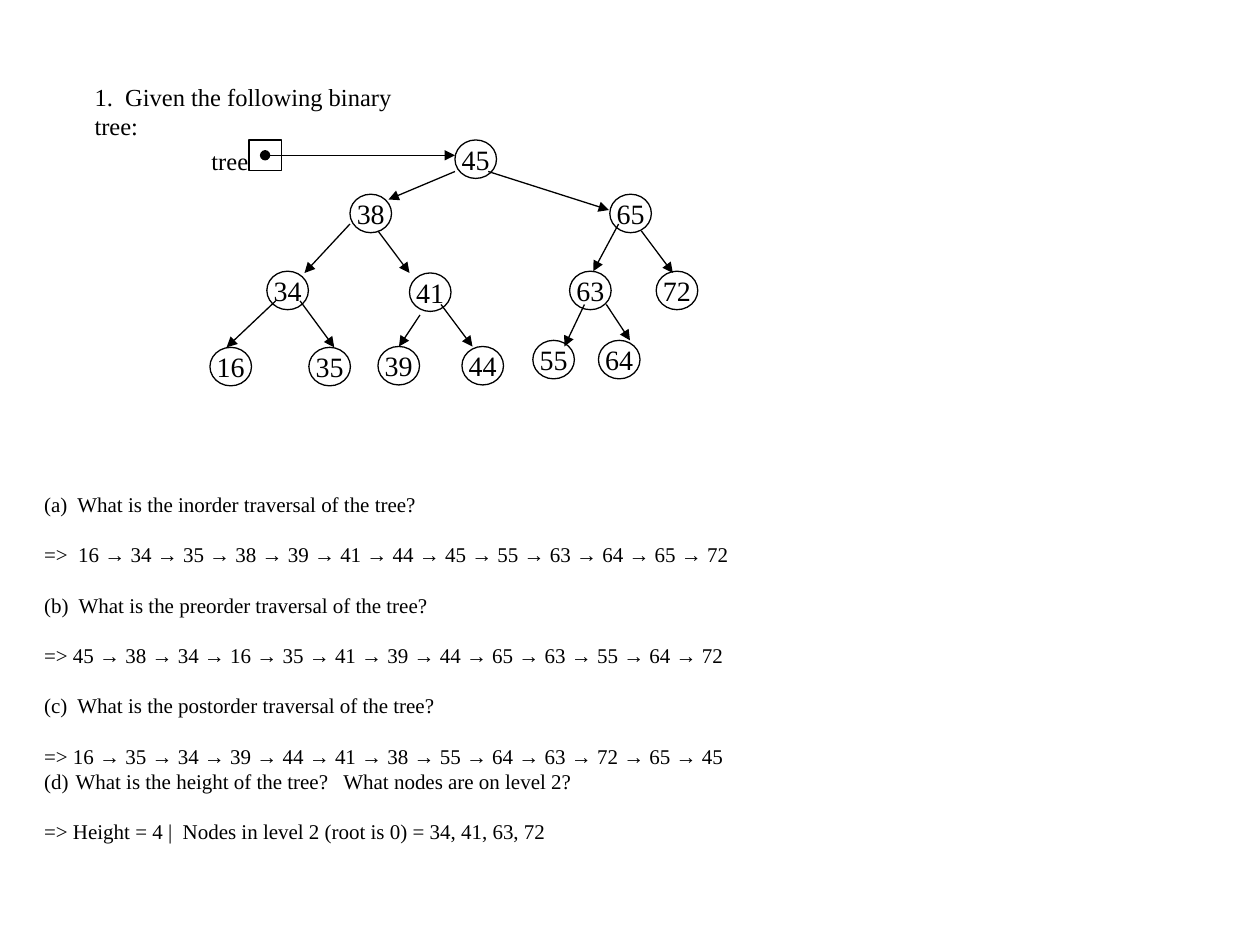
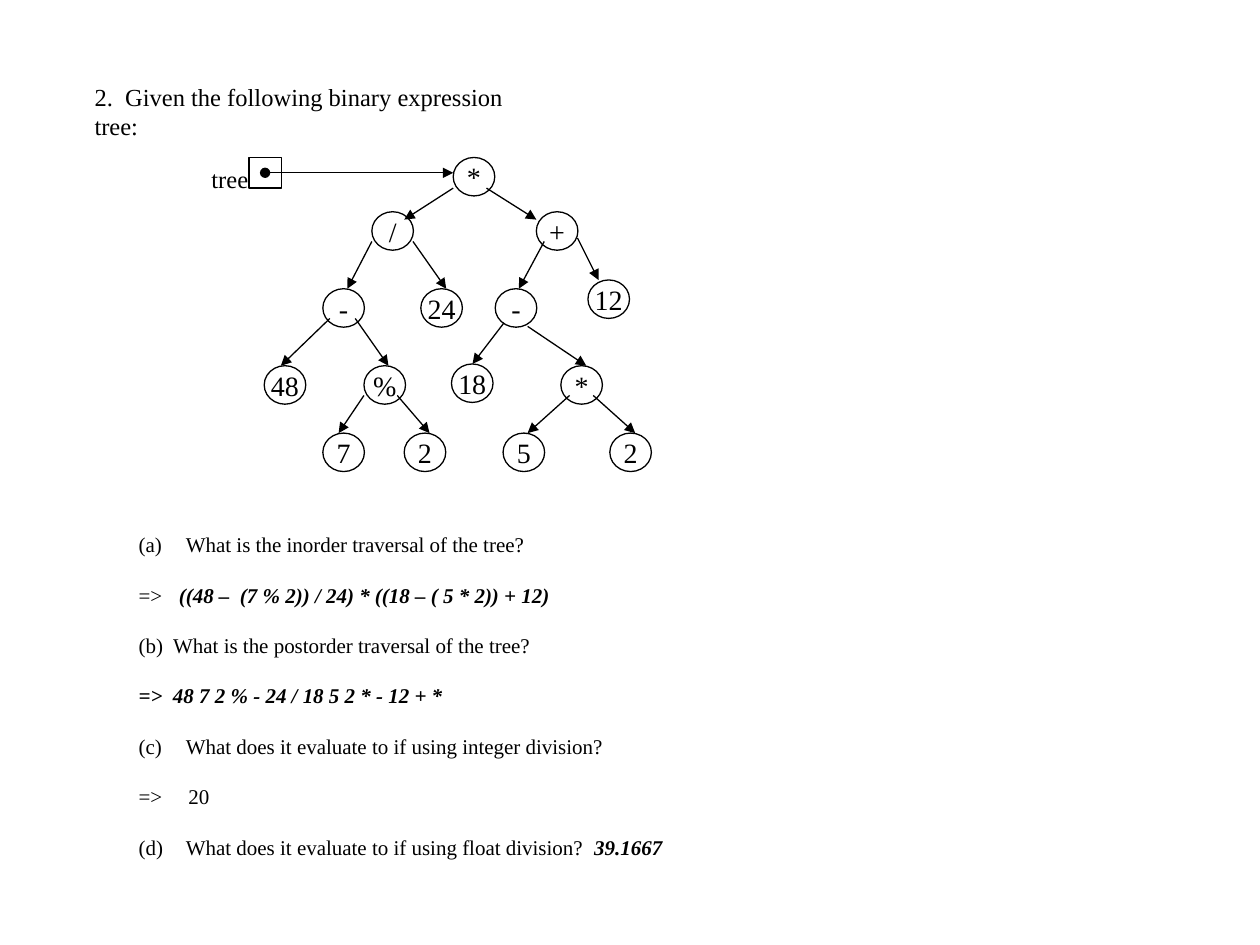
"""Build two exercise slides on binary tree traversal."""
from lxml import etree
from pptx import Presentation
from pptx.dml.color import RGBColor
from pptx.enum.shapes import MSO_CONNECTOR, MSO_SHAPE
from pptx.enum.text import MSO_ANCHOR, MSO_AUTO_SIZE, PP_ALIGN
from pptx.oxml.ns import qn
from pptx.util import Pt

STRAIGHT = MSO_CONNECTOR.STRAIGHT
OVAL, RECTANGLE = MSO_SHAPE.OVAL, MSO_SHAPE.RECTANGLE
TOP, MIDDLE = MSO_ANCHOR.TOP, MSO_ANCHOR.MIDDLE
NO_FIT = MSO_AUTO_SIZE.NONE
LEFT, CENTER = PP_ALIGN.LEFT, PP_ALIGN.CENTER

INK = RGBColor(0x00, 0x00, 0x00)
FONT = "Times New Roman"
HEADING_SIZE, BODY_SIZE, NODE_SIZE = 14, 12, 16
LINE_WIDTH = 0.75
NODE_WIDTH, NODE_HEIGHT = 23.75, 22
PARA_GAP = 14.4

SEARCH_NODES = [
    ("45", 260, 80), ("38", 200, 111), ("65", 348.5, 111),
    ("34", 152.5, 155), ("41", 234, 156), ("63", 325.5, 155), ("72", 375, 155),
    ("16", 120, 198.5), ("35", 176.5, 198.5), ("39", 216, 198), ("44", 264, 198),
    ("55", 304.5, 194.5), ("64", 342, 194.5),
]
SEARCH_ARROWS = [
    (260, 98, 222, 114), (279, 98, 348, 120),
    (200, 128, 174, 156), (216, 132, 234, 156),
    (353.5, 128, 339, 155), (366.5, 132, 384.5, 156),
    (157.5, 172, 129.5, 198.5), (171.5, 172, 191, 198.5),
    (240, 180, 228, 198), (252, 174, 270, 198),
    (334, 174, 322.5, 198), (346.5, 174, 360, 194.5),
]
EXPRESSION_NODES = [
    ("*", 259, 90), ("/", 212.5, 121), ("+", 306.5, 121),
    ("-", 184.5, 165), ("24", 240.5, 165), ("-", 283, 165), ("12", 336, 160),
    ("48", 151, 209), ("%", 208, 209), ("18", 258, 208), ("*", 320.5, 209),
    ("7", 184.5, 247.5), ("2", 231, 247.5), ("5", 287.5, 247.5), ("2", 348.5, 247.5),
]
EXPRESSION_ARROWS = [
    (259, 107.5, 231, 125.5), (278, 107.5, 306.5, 125.5),
    (212.5, 138, 198.5, 165), (236, 138, 255, 165),
    (311, 138, 296.5, 165), (330, 136, 342, 160),
    (188.5, 182, 160.5, 209), (203, 182, 222, 209),
    (288, 184.5, 270, 208), (301.5, 186.5, 335, 209),
    (208, 226, 193.5, 247.5), (227, 226, 245.5, 247.5),
    (325.5, 226, 301.5, 247.5), (339, 226, 363, 247.5),
]


def plain(text, **layout):
    """Describe a paragraph of one regular run."""
    return [(text, False)], layout


def strong(lead, text, **layout):
    """Describe a paragraph that ends in a bold italic run."""
    return [(lead, False), (text, True)], layout


def traversal(lead, values):
    """Describe an answer that lists nodes joined by arrows."""
    return plain(lead + " → ".join(values.split()))


SEARCH_QUESTIONS = [
    plain("(a)  What is the inorder traversal of the tree?"),
    traversal("=>  ", "16 34 35 38 39 41 44 45 55 63 64 65 72"),
    plain("(b)  What is the preorder traversal of the tree?"),
    traversal("=> ", "45 38 34 16 35 41 39 44 65 63 55 64 72"),
    plain("(c)  What is the postorder traversal of the tree?"),
    traversal("=> ", "16 35 34 39 44 41 38 55 64 63 72 65 45"),
    plain("What is the height of the tree?   What nodes are on level 2?",
          number=4, hang=18, gap=0),
    plain("=> Height = 4 |  Nodes in level 2 (root is 0) = 34, 41, 63, 72"),
]
EXPRESSION_QUESTIONS = [
    plain("What is the inorder traversal of the tree?", number=1, hang=27),
    strong("=>\t", "((48 –  (7 % 2)) / 24) * ((18 – ( 5 * 2)) + 12)", hang=23),
    plain("(b)  What is the postorder traversal of the tree?"),
    strong("", "=>  48 7 2 % - 24 / 18 5 2 * - 12 + *"),
    plain("What does it evaluate to if using integer division?", number=3, hang=27),
    plain("=>\t20", hang=28.5),
    strong("What does it evaluate to if using float division?  ", "39.1667",
           number=4, hang=27),
]


class TreeDeck:
    """Hold the shared style and the slide being drawn."""

    def __init__(self):
        """Start an empty deck of 10 by 7.5 inch slides."""
        self.deck = Presentation()
        self.deck.slide_width, self.deck.slide_height = Pt(720), Pt(540)
        self.page = None

    def add_page(self):
        """Add a slide with a title and a body placeholder."""
        self.page = self.deck.slides.add_slide(self.deck.slide_layouts[1])

    def span(self, para, text, size, emphasis=False):
        """Add one run in the shared font."""
        span = para.add_run()
        span.text = text
        span.font.name, span.font.size = FONT, Pt(size)
        span.font.bold = span.font.italic = emphasis
        span.font.color.rgb = INK

    def place(self, box, left, top, width, height):
        """Move a placeholder and lay its text out from the top left."""
        box.left, box.top, box.width, box.height = map(Pt, (left, top, width, height))
        frame = box.text_frame
        frame.word_wrap, frame.auto_size = True, NO_FIT
        frame.vertical_anchor = TOP
        return frame

    def heading(self, text, width):
        """Write the exercise into the title placeholder."""
        frame = self.place(self.page.shapes.title, 46.8, 43.2, width, 42)
        para = frame.paragraphs[0]
        para.alignment = LEFT
        self.span(para, text, HEADING_SIZE)

    def questions(self, items, left, top, width, height):
        """Write questions and answers into the body placeholder."""
        frame = self.place(self.page.placeholders[1], left, top, width, height)
        for index, (spans, layout) in enumerate(items):
            para = frame.add_paragraph() if index else frame.paragraphs[0]
            para.space_before = Pt(layout.get("gap", PARA_GAP) if index else 0)
            self.marker(para, layout.get("number"), layout.get("hang", 0))
            for text, emphasis in spans:
                if text:
                    self.span(para, text, BODY_SIZE, emphasis)

    def marker(self, para, number, hang):
        """Set the hanging indent and the lettering of a paragraph."""
        props = para._p.get_or_add_pPr()
        props.set("marL", str(Pt(hang)))
        props.set("indent", str(-Pt(hang)))
        if number:
            etree.SubElement(props, qn("a:buFont"), typeface=FONT)
            etree.SubElement(props, qn("a:buAutoNum"),
                             type="alphaLcParenBoth", startAt=str(number))
        else:
            etree.SubElement(props, qn("a:buNone"))

    def outline(self, kind, left, top, width, height):
        """Add an unfilled shape with a thin line."""
        box = self.page.shapes.add_shape(kind, Pt(left), Pt(top), Pt(width), Pt(height))
        box.shadow.inherit = False
        box.fill.background()
        box.line.color.rgb, box.line.width = INK, Pt(LINE_WIDTH)
        return box

    def node(self, label, left, top):
        """Add one labelled tree node."""
        frame = self.outline(OVAL, left, top, NODE_WIDTH, NODE_HEIGHT).text_frame
        frame.margin_left = frame.margin_right = 0
        frame.margin_top = frame.margin_bottom = 0
        frame.word_wrap, frame.vertical_anchor = False, MIDDLE
        para = frame.paragraphs[0]
        para.alignment = CENTER
        self.span(para, label, NODE_SIZE)

    def arrow(self, x1, y1, x2, y2, dotted=False):
        """Add an arrow, with a dot at its start if asked."""
        arrow = self.page.shapes.add_connector(STRAIGHT, Pt(x1), Pt(y1), Pt(x2), Pt(y2))
        arrow.line.color.rgb, arrow.line.width = INK, Pt(LINE_WIDTH)
        line = arrow.line._get_or_add_ln()
        if dotted:
            etree.SubElement(line, qn("a:headEnd"), type="oval")
        etree.SubElement(line, qn("a:tailEnd"), type="triangle")
        etree.SubElement(arrow._element.spPr, qn("a:effectLst"))

    def tree(self, nodes, arrows):
        """Draw a tree and the pointer to its root, the first node."""
        for node in nodes:
            self.node(*node)
        for arrow in arrows:
            self.arrow(*arrow)
        root_left, top = nodes[0][1:]
        self.outline(RECTANGLE, 142.25, top, 18.75, 17.5)
        label = self.page.shapes.add_textbox(Pt(113.75), Pt(top), Pt(35.5), Pt(24))
        label.text_frame.word_wrap = False
        self.span(label.text_frame.paragraphs[0], "tree", HEADING_SIZE)
        self.arrow(151.5, top + 8.75, root_left, top + 8.75, dotted=True)


def main():
    """Build and save both slides."""
    tree_deck = TreeDeck()

    tree_deck.add_page()
    tree_deck.heading("1.  Given the following binary tree:", 206)
    tree_deck.questions(SEARCH_QUESTIONS, 18, 277.2, 698, 225)
    tree_deck.tree(SEARCH_NODES, SEARCH_ARROWS)

    tree_deck.add_page()
    tree_deck.heading("2.  Given the following binary expression tree:", 270)
    tree_deck.questions(EXPRESSION_QUESTIONS, 72, 300.2, 466.5, 225)
    tree_deck.tree(EXPRESSION_NODES, EXPRESSION_ARROWS)

    tree_deck.deck.save("out.pptx")


if __name__ == "__main__":
    main()
